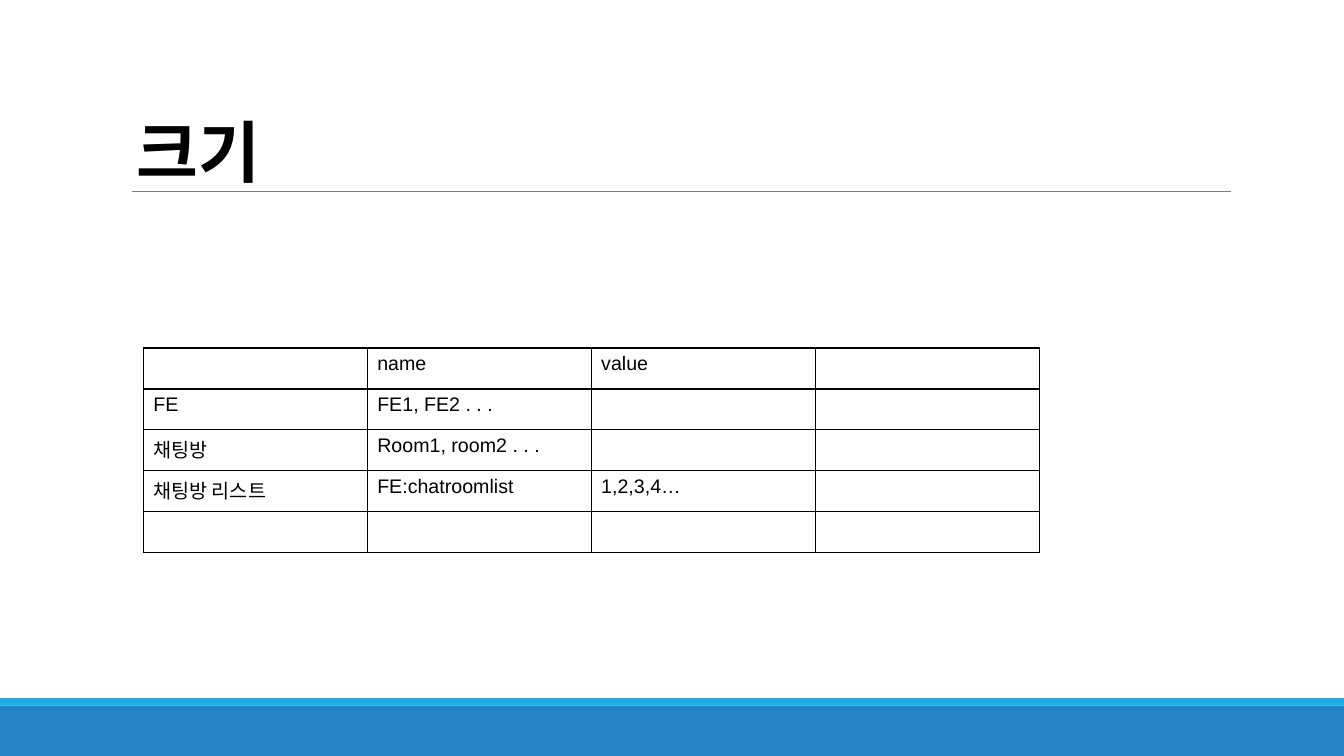
from pptx import Presentation
from pptx.dml.color import RGBColor as RGB
from pptx.enum.shapes import MSO_CONNECTOR as Link, MSO_SHAPE as Form
from pptx.enum.text import MSO_ANCHOR as Anchor, PP_ALIGN as Align
from pptx.oxml.ns import qn
from pptx.util import Cm, Pt
from lxml.etree import SubElement as Sub

BLACK = RGB(0x00, 0x00, 0x00)
GREY = RGB(0x7F, 0x7F, 0x7F)
BLUE = RGB(0x26, 0x83, 0xC6)
CYAN = RGB(0x1C, 0xAD, 0xE4)
WIDE, HIGH = Cm(33.87), Cm(19.05)

ROWS = [
    ["", "name", "value", ""],
    ["FE", "FE1, FE2 . . . ", "", ""],
    ["채팅방", "Room1, room2 . . .", "", ""],
    ["채팅방 리스트 ", "FE:chatroomlist", "1,2,3,4…", ""],
    ["", "", "", ""],
]


def style(par, name, size, bold=False):
    """Set the font of a whole paragraph."""
    font = par.font
    font.name, font.size, font.bold = name, Pt(size), bold
    font.color.rgb = BLACK


def add_band(slide, left, top, width, height, color):
    """Draw one plain colour band."""
    band = slide.shapes.add_shape(Form.RECTANGLE, left, top, width, height)
    band.shadow.inherit = False
    band.fill.solid()
    band.fill.fore_color.rgb = color
    band.line.fill.background()


def add_foot(slide, left, top, width, height):
    """Draw the footer: a thin stripe above a broad band."""
    thin = Cm(0.19)
    add_band(slide, left, top + thin, width, height - thin, BLUE)
    add_band(slide, left, top, width, thin, CYAN)


def add_rule(slide, left, top, width):
    """Draw the thin line under the title."""
    rule = slide.shapes.add_connector(
        Link.STRAIGHT, left, top, left + width, top)
    rule.line.color.rgb = GREY
    rule.line.width = Pt(0.75)
    Sub(rule.element.spPr, qn("a:effectLst"))


def set_title(slide, text, left, top, width, height):
    """Move, fill and format the title placeholder."""
    title = slide.shapes.title
    title.left, title.top = left, top
    title.width, title.height = width, height
    frame = title.text_frame
    frame.text = text
    frame.vertical_anchor = Anchor.MIDDLE
    par = frame.paragraphs[0]
    par.alignment = Align.LEFT
    style(par, "Calibri", 48, True)


def add_edge(cell, side, width):
    """Draw one black border of a cell."""
    edge = Sub(cell._tc.get_or_add_tcPr(), qn("a:ln" + side), w=str(Pt(width)))
    fill = Sub(edge, qn("a:solidFill"))
    Sub(fill, qn("a:srgbClr"), val=str(BLACK))


def add_grid(slide, rows, left, top, width, height):
    """Add the bordered table with a heavier line below its header."""
    grid = slide.shapes.add_table(
        len(rows), len(rows[0]), left, top, width, height).table
    grid.first_row = grid.horz_banding = False
    for r, row in enumerate(rows):
        for c, text in enumerate(row):
            cell = grid.cell(r, c)
            cell.text = text
            style(cell.text_frame.paragraphs[0], "Arial", 14)
            for side in "LRTB":
                heavy = (r, side) in [(0, "B"), (1, "T")]
                add_edge(cell, side, 1.5 if heavy else 1)
            cell.fill.background()


def build_slide(deck):
    """Lay out the size slide."""
    slide = deck.slides.add_slide(deck.slide_layouts[5])
    foot = Cm(1.46)
    add_foot(slide, 0, HIGH - foot, WIDE, foot)
    add_rule(slide, Cm(3.33), Cm(4.82), Cm(27.68))
    set_title(slide, "크기", Cm(3.18), Cm(2.64), Cm(23.04), Cm(2.31))
    add_grid(slide, ROWS, Cm(3.61), Cm(8.77), Cm(22.58), Cm(5.15))


deck = Presentation()
deck.slide_width, deck.slide_height = WIDE, HIGH
build_slide(deck)
deck.save("out.pptx")
